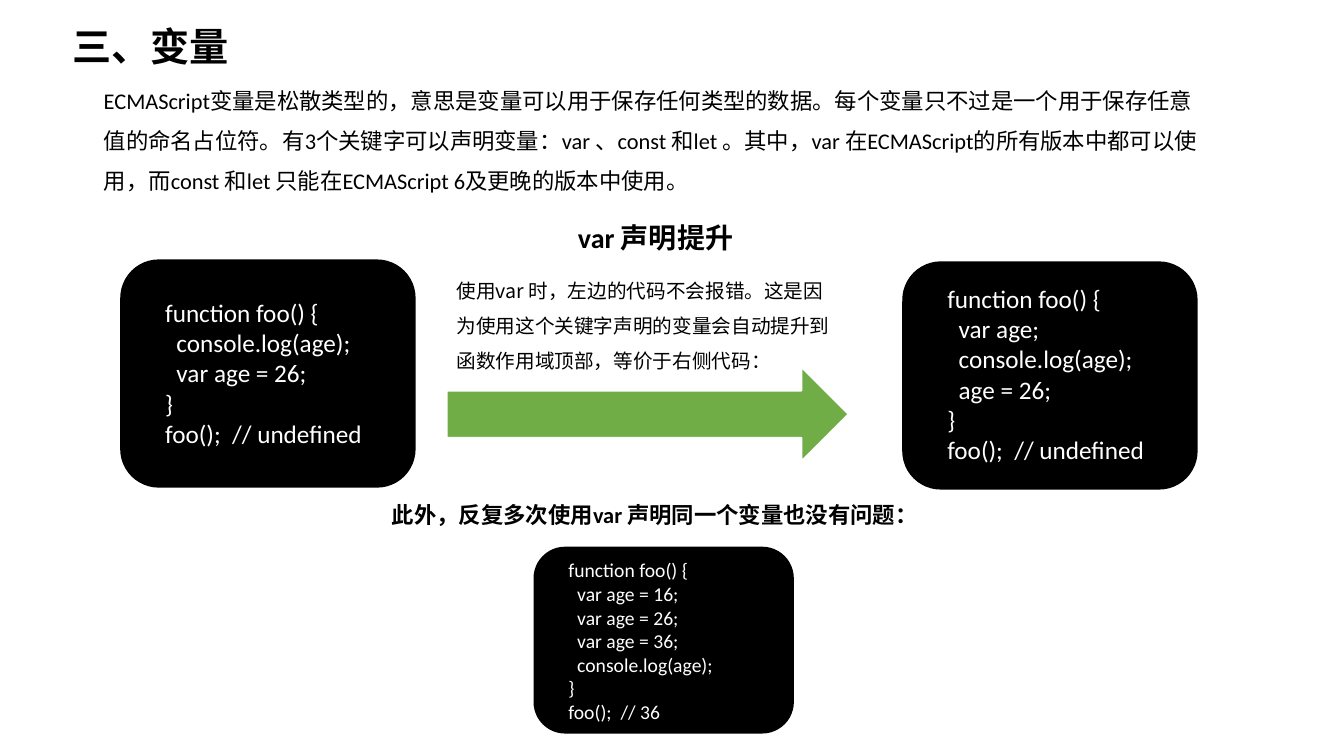
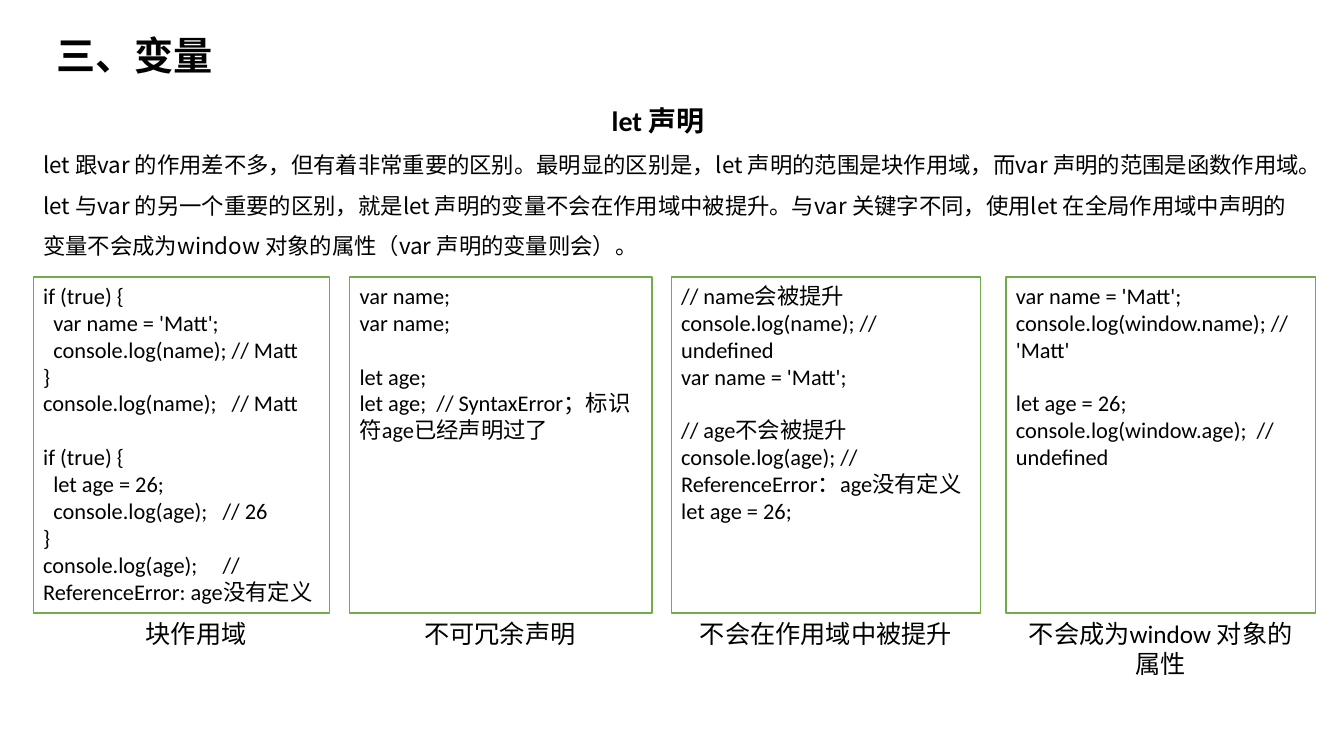
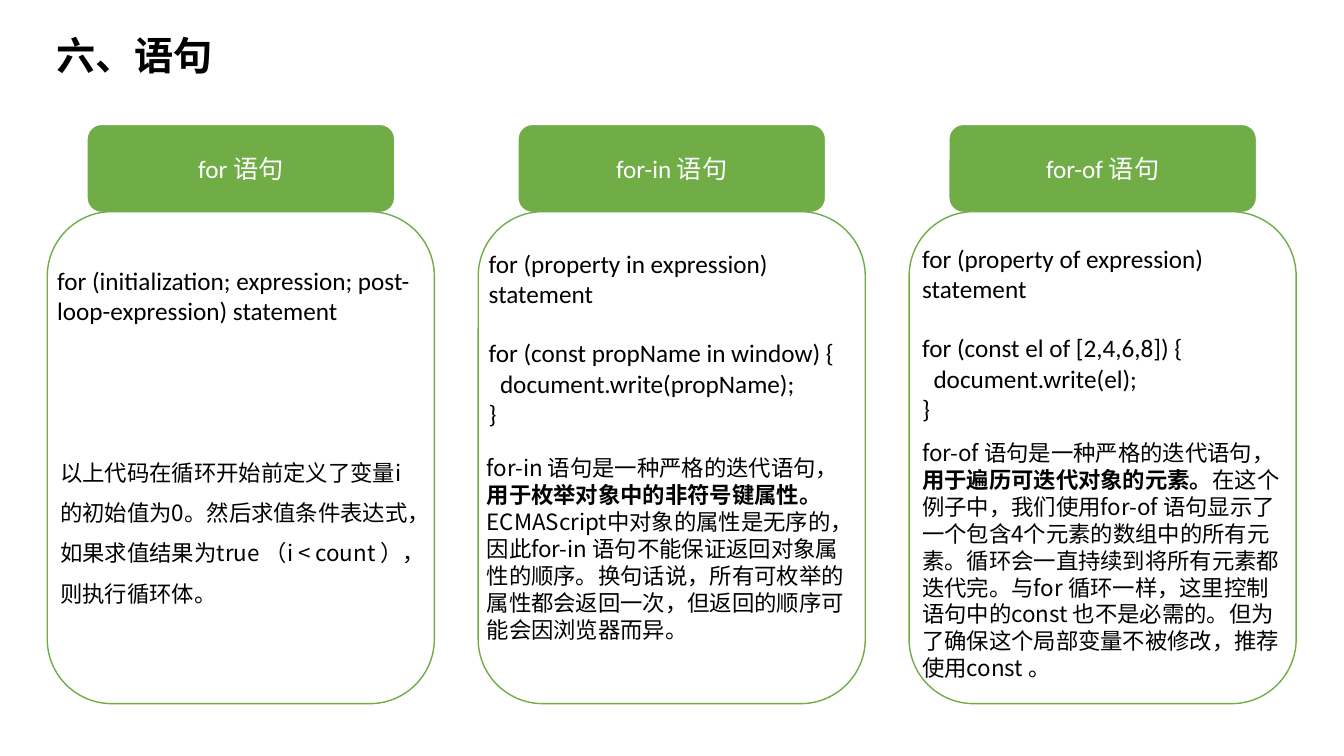
from lxml import etree
from pptx import Presentation
from pptx.dml.color import RGBColor
from pptx.enum import shapes as kinds, text as tx
from pptx.oxml.ns import qn
from pptx.util import Pt

BLACK, WHITE, GREEN = "000000", "FFFFFF", "70AD47"
LATIN, HAN = "Calibri", "Noto Sans CJK SC"
LEFT, CENTER = tx.PP_ALIGN.LEFT, tx.PP_ALIGN.CENTER
RECT, ROUNDED, ARROW = (kinds.MSO_SHAPE.RECTANGLE, kinds.MSO_SHAPE.ROUNDED_RECTANGLE,
                        kinds.MSO_SHAPE.RIGHT_ARROW)

prs = Presentation()
prs.slide_width, prs.slide_height = Pt(960), Pt(540)


def add_panel(slide, kind, box, fill, line, line_width=1):
    panel = slide.shapes.add_shape(kind, *map(Pt, box))
    panel.shadow.inherit = False
    panel.fill.solid()
    panel.fill.fore_color.rgb = RGBColor.from_string(fill)
    panel.line.color.rgb = RGBColor.from_string(line)
    panel.line.width = Pt(line_width)
    return panel


def write(holder, content, size, box=None, font=LATIN, color=BLACK, bold=False,
          align=LEFT, spacing=1.0, anchor=tx.MSO_ANCHOR.TOP, wrap=True):
    """Fill a shape, or a new text box when holder is a slide.

    Each line is a paragraph, an empty line a gap, and ** switches bold.
    """
    if hasattr(holder, "shapes"):
        holder = holder.shapes.add_textbox(*map(Pt, box))
    frame = holder.text_frame
    frame.word_wrap = wrap
    frame.auto_size = tx.MSO_AUTO_SIZE.NONE
    frame.vertical_anchor = anchor
    paragraph, gap = frame.paragraphs[0], False
    for number, line in enumerate(content.split("\n")):
        if not line:
            gap = True
            continue
        if number:
            paragraph = frame.add_paragraph()
        paragraph.alignment = align
        paragraph.line_spacing = spacing
        if gap:
            paragraph.space_before = Pt(size * 1.2)
            gap = False
        for part, words in enumerate(line.split("**")):
            run = paragraph.add_run()
            run.text = words
            run.font.size = Pt(size)
            run.font.bold = bold or part % 2 == 1
            run.font.color.rgb = RGBColor.from_string(color)
            run.font.name = font
            etree.SubElement(run._r.get_or_add_rPr(), qn("a:ea")).set("typeface", HAN)


# Titles
slides = []
for heading, left, top, width in [("三、变量", 44.6, 12.2, 487),
                                  ("三、变量", 33, 18.7, 291),
                                  ("六、语句", 33, 18.7, 291)]:
    slide = prs.slides.add_slide(prs.slide_layouts[5])
    title = slide.shapes.title
    title.left, title.top, title.width, title.height = map(Pt, (left, top, width, 41))
    write(title, heading, 28, bold=True)
    slides.append(slide)
var_slide, let_slide, loop_slide = slides

# var
write(var_slide, "ECMAScript变量是松散类型的，意思是变量可以用于保存任何类型的数据。每个变量只不过是一个用于保存任意值的命名占位符。"
      "有3个关键字可以声明变量：var 、const 和let 。其中，var 在ECMAScript的所有版本中都可以使用，"
      "而const 和let 只能在ECMAScript 6及更晚的版本中使用。", 16, (67, 49, 805.7, 94.3), spacing=1.5)
write(var_slide, "var 声明提升", 20, (87, 154, 762.5, 31.5), bold=True, align=CENTER)

code_cards = [
    ((86.4, 185.8, 210, 162), (110.9, 208.8, 161.3, 116), 18, """function foo() {
  console.log(age);
  var age = 26;
}
foo();  // undefined"""),
    ((645, 187.2, 210, 162), (669.6, 198.7, 161.3, 138), 18, """function foo() {
  var age;
  console.log(age);
  age = 26;
}
foo();  // undefined"""),
    ((381.6, 391, 185, 132.5), (398.9, 395.3, 162, 126), 14, """function foo() {
  var age = 16;
  var age = 26;
  var age = 36;
  console.log(age);
}
foo();  // 36"""),
]
for card, code_box, size, code in code_cards:
    add_panel(var_slide, ROUNDED, card, BLACK, BLACK)
    write(var_slide, code, size, code_box, color=WHITE)

add_panel(var_slide, ARROW, (319, 262, 287.3, 67.7), GREEN, WHITE, 1.5)
write(var_slide, "使用var 时，左边的代码不会报错。这是因为使用这个关键字声明的变量会自动提升到函数作用域顶部，等价于右侧代码：",
      14, (319, 187.2, 285, 83.5), font=HAN, spacing=1.5)
write(var_slide, "此外，反复多次使用var 声明同一个变量也没有问题：", 16, (272.9, 354.2, 391, 26.6),
      bold=True, wrap=False)

# let
write(let_slide, "let 声明", 20, (18, 70.6, 904.3, 31.5), bold=True, align=CENTER)
write(let_slide, "let 跟var 的作用差不多，但有着非常重要的区别。最明显的区别是，let 声明的范围是块作用域，而var 声明的范围是函数作用域。"
      "let 与var 的另一个重要的区别，就是let 声明的变量不会在作用域中被提升。与var 关键字不同，"
      "使用let 在全局作用域中声明的变量不会成为window 对象的属性（var 声明的变量则会）。",
      16, (23.8, 95, 915.8, 94.3), font=HAN, spacing=1.5)

differences = [
    (23.8, 211.7, 80.6, 118.8, "块作用域", """if (true) {
  var name = 'Matt';
  console.log(name); // Matt
}
console.log(name);   // Matt

if (true) {
  let age = 26;
  console.log(age);   // 26
}
console.log(age);     // ReferenceError: age没有定义"""),
    (249.8, 216, 294.5, 125.3, "不可冗余声明", """var name;
var name;

let age;
let age;  // SyntaxError；标识符age已经声明过了"""),
    (479.5, 221, 483.8, 212.4, "不会在作用域中被提升", """// name会被提升
console.log(name); // undefined
var name = 'Matt';

// age不会被提升
console.log(age); // ReferenceError：age没有定义
let age = 26;"""),
    (718.6, 221, 722.9, 212.4, "不会成为window 对象的属性", """var name = 'Matt';
console.log(window.name); // 'Matt'

let age = 26;
console.log(window.age);  // undefined"""),
]
for left, width, caption_left, caption_width, caption, code in differences:
    write(add_panel(let_slide, RECT, (left, 198, width, 239.8), WHITE, GREEN), code, 16)
    write(let_slide, caption, 18, (caption_left, 437.8, caption_width, 51), align=CENTER)

# Loops
for column, statement in enumerate(["for 语句", "for-in 语句", "for-of 语句"]):
    shift = column * 307.8
    header = add_panel(loop_slide, ROUNDED, (61.9 + shift, 88.6, 220.3, 63.4), GREEN, WHITE, 1.5)
    write(header, statement, 18, color=WHITE, align=CENTER, anchor=tx.MSO_ANCHOR.MIDDLE)
    add_panel(loop_slide, ROUNDED, (33.8 + shift, 151.2, 276.5, 351.4), WHITE, GREEN)

loop_code = [
    ((33.8, 185.8, 276.5, 51), "for (initialization; expression; post-loop-expression) statement"),
    ((342, 173.5, 276.5, 51), "for (property in expression) statement"),
    ((342, 237.6, 276.5, 72.7), """for (const propName in window) {
  document.write(propName);
}"""),
    ((651.6, 169.9, 274.3, 51), "for (property of expression) statement"),
    ((651.6, 234, 272.2, 72.7), """for (const el of [2,4,6,8]) {
  document.write(el);
}"""),
]
for box, code in loop_code:
    write(loop_slide, code, 18, box)

explanations = [
    ((36, 314.6, 270.7, 123.8), 1.5,
     "以上代码在循环开始前定义了变量i 的初始值为0。然后求值条件表达式，如果求值结果为true （i < count ），则执行循环体。"),
    ((340.6, 321.1, 276.5, 142.6), 1.0,
     "for-in 语句是一种严格的迭代语句，**用于枚举对象中的非符号键属性。**ECMAScript中对象的属性是无序的，"
     "因此for-in 语句不能保证返回对象属性的顺序。换句话说，所有可枚举的属性都会返回一次，但返回的顺序可能会因浏览器而异。"),
    ((651.6, 310.3, 272.2, 181.4), 1.0,
     "for-of 语句是一种严格的迭代语句，**用于遍历可迭代对象的元素。**在这个例子中，我们使用for-of 语句显示了一个包含4个元素的数组中的所有元素。"
     "循环会一直持续到将所有元素都迭代完。与for 循环一样，这里控制语句中的const 也不是必需的。"
     "但为了确保这个局部变量不被修改，推荐使用const 。"),
]
for box, spacing, explanation in explanations:
    write(loop_slide, explanation, 16, box, font=HAN, spacing=spacing)

prs.save("out.pptx")
